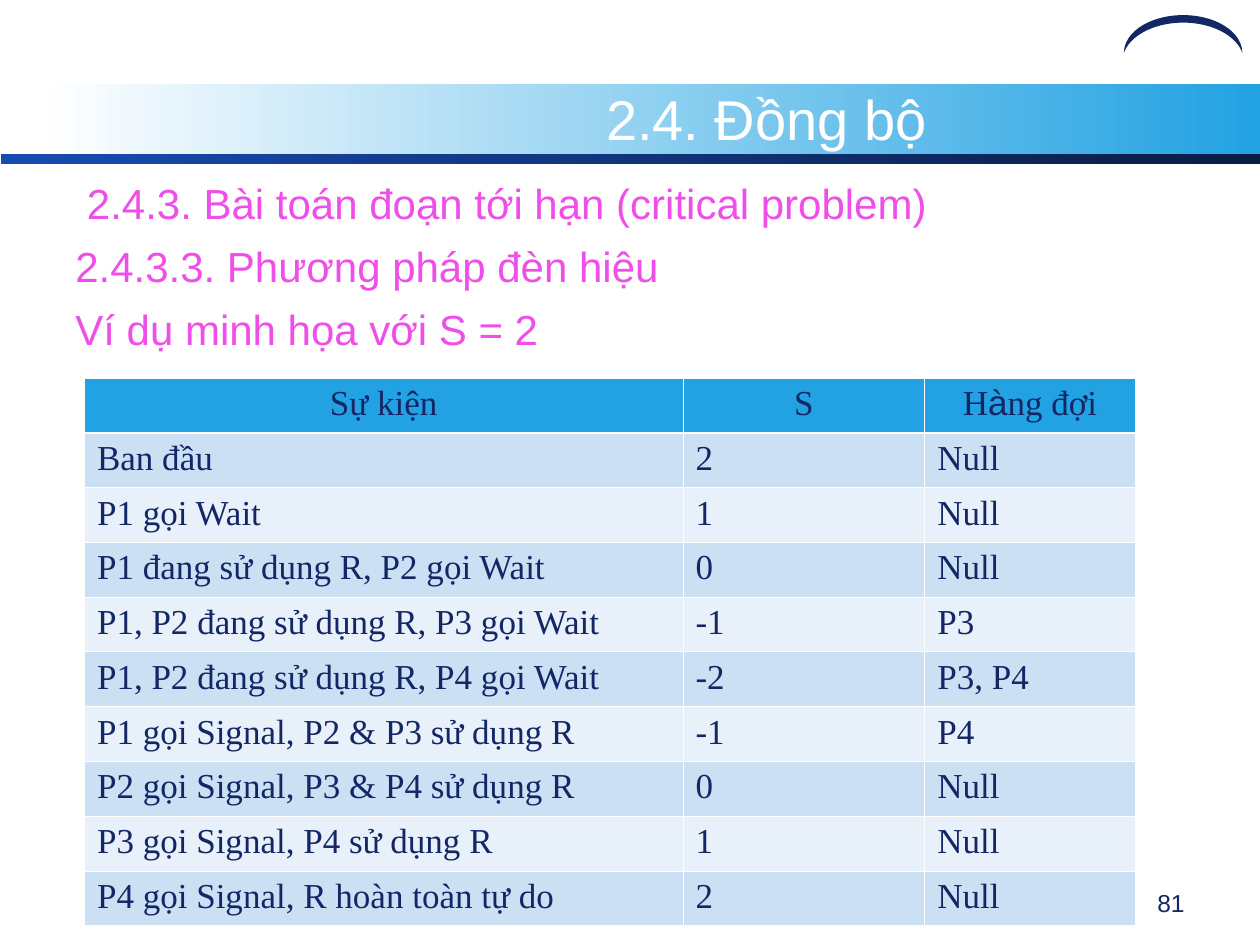
from lxml import etree
from pptx import Presentation
from pptx.dml.color import RGBColor
from pptx.enum.shapes import MSO_SHAPE
from pptx.enum.text import MSO_ANCHOR, PP_ALIGN
from pptx.oxml.ns import qn
from pptx.util import Inches, Pt

RECT, MOON = MSO_SHAPE.RECTANGLE, MSO_SHAPE.MOON
TOP, MIDDLE = MSO_ANCHOR.TOP, MSO_ANCHOR.MIDDLE
LEFT, CENTER, RIGHT = PP_ALIGN.LEFT, PP_ALIGN.CENTER, PP_ALIGN.RIGHT

WHITE = RGBColor(0xFF, 0xFF, 0xFF)
NAVY = RGBColor(0x13, 0x27, 0x67)
SKY = RGBColor(0x22, 0xA2, 0xE2)
BLUE = RGBColor(0x18, 0x4B, 0xB2)
DARK = RGBColor(0x09, 0x1D, 0x44)
PINK = RGBColor(0xF0, 0x4E, 0xE8)
BANDS = [RGBColor(0xCC, 0xE0, 0xF4), RGBColor(0xE8, 0xF0, 0xFA)]

SANS, SERIF = "Arial", "Times New Roman"
THIN, THICK = 0.45, 1.47

LINES = [
    " 2.4.3. Bài toán đoạn tới hạn (critical problem)",
    "2.4.3.3. Phương pháp đèn hiệu",
    "Ví dụ minh họa với S = 2",
]
HEAD = ["Sự kiện", "S", [("H", SERIF), ("à", SANS), ("ng đợi", SERIF)]]
EVENTS = [
    ["Ban đầu", "2", "Null"],
    ["P1 gọi Wait", "1", "Null"],
    ["P1 đang sử dụng R, P2 gọi Wait", "0", "Null"],
    ["P1, P2 đang sử dụng R, P3 gọi Wait", "-1", "P3"],
    ["P1, P2 đang sử dụng R, P4 gọi Wait", "-2", "P3, P4"],
    ["P1 gọi Signal, P2 & P3 sử dụng R", "-1", "P4"],
    ["P2 gọi Signal, P3 & P4 sử dụng R", "0", "Null"],
    ["P3 gọi Signal, P4 sử dụng R", "1", "Null"],
    ["P4 gọi Signal, R hoàn toàn tự do", "2", "Null"],
]


def write(frame, lines, size=20, color=NAVY, font=SANS, align=LEFT, gap=0):
    for i, line in enumerate(lines):
        para = frame.add_paragraph() if i else frame.paragraphs[0]
        para.alignment = align
        para.space_before = Pt(gap if i else 0)
        runs = [(line, font)] if isinstance(line, str) else line
        for text, face in runs:
            run = para.add_run()
            run.text = text
            run.font.name = face
            run.font.size = Pt(size)
            run.font.bold = False
            run.font.color.rgb = color


def edge(cell, side, width):
    line = etree.SubElement(cell._tc.get_or_add_tcPr(), qn(f"a:ln{side}"), w=str(Pt(width)))
    fill = etree.SubElement(line, qn("a:solidFill"))
    etree.SubElement(fill, qn("a:srgbClr"), val=str(WHITE))


class Deck:
    def __init__(self):
        self.file = Presentation()
        self.file.slide_width = Inches(10)
        self.file.slide_height = Inches(7.5)
        self.slide = self.file.slides.add_slide(self.file.slide_layouts[6])

    def shape(self, kind, x, y, w, h):
        shape = self.slide.shapes.add_shape(kind, Inches(x), Inches(y), Inches(w), Inches(h))
        shape.shadow.inherit = False
        shape.line.fill.background()
        return shape

    def band(self, x, y, w, h, start, end):
        fill = self.shape(RECT, x, y, w, h).fill
        fill.gradient()
        fill.gradient_angle = 0
        for stop, color in zip(fill.gradient_stops, (start, end)):
            stop.color.rgb = color

    def arc(self, x, y, w, h):
        moon = self.shape(MOON, x, y, w, h)
        moon.rotation = 90
        moon.adjustments[0] = 0.2
        moon.fill.solid()
        moon.fill.fore_color.rgb = NAVY

    def text(self, x, y, w, h, lines, anchor=TOP, **style):
        box = self.slide.shapes.add_textbox(Inches(x), Inches(y), Inches(w), Inches(h))
        box.text_frame.word_wrap = True
        box.text_frame.vertical_anchor = anchor
        write(box.text_frame, lines, **style)

    def table(self, x, y, widths, height, rows):
        grid = self.slide.shapes.add_table(
            len(rows), len(widths), Inches(x), Inches(y), Inches(sum(widths)), Inches(height)
        ).table
        grid.horz_banding = False
        for col, width in zip(grid.columns, widths):
            col.width = Inches(width)
        for r, row in enumerate(rows):
            for c, value in enumerate(row):
                cell = grid.cell(r, c)
                edge(cell, "L", THIN)
                edge(cell, "R", THIN)
                edge(cell, "T", THICK if r == 1 else THIN)
                edge(cell, "B", THICK if r == 0 else THIN)
                cell.fill.solid()
                cell.fill.fore_color.rgb = BANDS[(r - 1) % 2] if r else SKY
                write(cell.text_frame, [value], font=SERIF, align=LEFT if r else CENTER)


def main():
    deck = Deck()
    deck.band(0.33, 0.67, 9.67, 0.58, WHITE, SKY)
    deck.band(0.01, 1.22, 9.99, 0.08, BLUE, DARK)
    deck.arc(9.24, -0.2, 0.3, 0.94)
    deck.text(7.17, 7, 2.33, 0.35, ["81"], size=14, align=RIGHT)
    deck.text(2.67, 0.67, 6.83, 0.53, ["2.4. Đồng bộ"], MIDDLE, size=32, color=WHITE, align=CENTER)
    deck.text(0.5, 1.36, 9, 1.5, LINES, size=24, color=PINK, gap=7.2)
    deck.table(0.67, 3, [4.75, 1.92, 1.67], 4.35, [HEAD] + EVENTS)
    deck.file.save("out.pptx")


if __name__ == "__main__":
    main()
